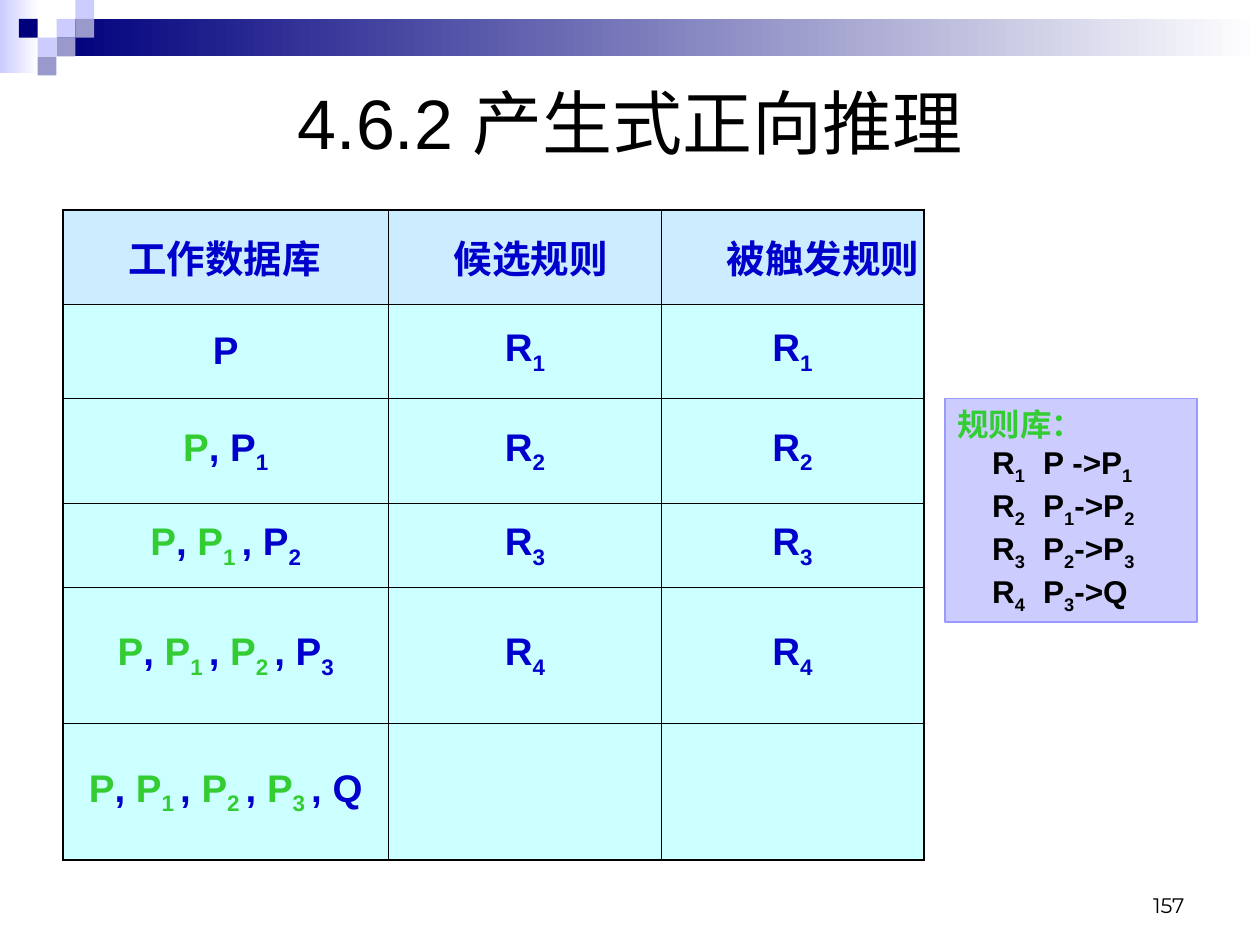
import pptx
import pptx.dml.color
import pptx.enum.shapes
import pptx.enum.text
import pptx.oxml
import pptx.oxml.ns
import pptx.util

Cm = pptx.util.Cm
Pt = pptx.util.Pt
ALIGN = pptx.enum.text.PP_ALIGN
ANCHOR = pptx.enum.text.MSO_ANCHOR

COLORS = {
    "black": "000000", "white": "FFFFFF", "navy": "00007D",
    "lavender": "CCCCFF", "slate": "9999CC", "violet": "9999FF",
    "header": "CCECFF", "body": "CCFFFF", "blue": "0000CC", "green": "33CC33",
}
UNIT = 0.38
SQUARES = [
    (3, 1, "lavender"), (4, 0, "lavender"), (4, 1, "slate"),
    (2, 2, "lavender"), (1, 1, "navy"), (3, 2, "slate"), (2, 3, "slate"),
]
HEADERS = ["工作数据库", "候选规则", "被触发规则"]
FACTS = ["P", "P_1", "P_2", "P_3", "Q"]
COL_WIDTHS = [6.56, 5.5, 5.29]
ROW_HEIGHTS = [1.9, 1.9, 2.12, 1.69, 2.75, 2.75]
RULES = ["R_1_\tP ->P_1", "R_2_\tP_1_->P_2", "R_3_\tP_2_->P_3", "R_4_\tP_3_->Q"]


def rgb(name):
    return pptx.dml.color.RGBColor.from_string(COLORS[name])


def add_text(p, text, size, color, bold=False, font="Arial"):
    for i, part in enumerate(text.split("_")):
        if not part:
            continue
        r = p.add_run()
        r.text = part
        r.font.name = font
        r.font.size = Pt(size)
        r.font.bold = bold
        r.font.color.rgb = rgb(color)
        if i % 2:
            r._r.get_or_add_rPr().set("baseline", "-25000")


def set_indent(p, left, first=0):
    pPr = p._p.get_or_add_pPr()
    pPr.set("marL", str(Cm(left)))
    pPr.set("indent", str(Cm(first)))


def add_rect(s, x, y, w, h, fill, fade_to=None, line=None):
    sp = s.shapes.add_shape(pptx.enum.shapes.MSO_SHAPE.RECTANGLE,
                            Cm(x), Cm(y), Cm(w), Cm(h))
    sp.shadow.inherit = False
    if fade_to:
        sp.fill.gradient()
        sp.fill.gradient_angle = 0
        for stop, color in zip(sp.fill.gradient_stops, (fill, fade_to)):
            stop.color.rgb = rgb(color)
    else:
        sp.fill.solid()
        sp.fill.fore_color.rgb = rgb(fill)
    if line:
        sp.line.color.rgb = rgb(line)
        sp.line.width = Pt(0.75)
    else:
        sp.line.fill.background()
    return sp


def add_label(s, x, y, w, h, text, size, align, anchor, font="Arial"):
    tf = s.shapes.add_textbox(Cm(x), Cm(y), Cm(w), Cm(h)).text_frame
    tf.word_wrap = True
    tf.vertical_anchor = anchor
    p = tf.paragraphs[0]
    p.alignment = align
    add_text(p, text, size, "black", font=font)


def add_banner(s):
    add_rect(s, 0, 0, 0.79, 1.47, "lavender", "white")
    add_rect(s, 1.14, UNIT, 24.26, 0.76, "navy", "white")
    for col, row, color in SQUARES:
        add_rect(s, col * UNIT, row * UNIT, UNIT, UNIT, color)


def set_borders(cell, outer):
    tcPr = cell._tc.get_or_add_tcPr()
    for i, side in enumerate("LRTB"):
        width = Pt(1.08) if side in outer else Pt(0.45)
        tcPr.insert(i, pptx.oxml.parse_xml(
            f'<a:ln{side} {pptx.oxml.ns.nsdecls("a")} w="{width}"><a:solidFill>'
            f'<a:srgbClr val="{COLORS["black"]}"/></a:solidFill></a:ln{side}>'))


def fill_cell(p, row, col):
    if row == 0:
        set_indent(p, 1.27)
        add_text(p, HEADERS[col], 22, "blue", True)
        return
    p.alignment = ALIGN.CENTER
    if col == 0:
        for fact in FACTS[:row - 1]:
            add_text(p, fact + " " if "_" in fact else fact, 22, "green", True)
            add_text(p, ", ", 22, "blue", True)
        add_text(p, FACTS[row - 1], 22, "blue", True)
    elif row < len(FACTS):
        add_text(p, f"R_{row}", 22, "blue", True)


def add_inference_table(s):
    table = s.shapes.add_table(len(ROW_HEIGHTS), len(COL_WIDTHS), Cm(1.27), Cm(4.23),
                               Cm(sum(COL_WIDTHS)), Cm(sum(ROW_HEIGHTS))).table
    table.horz_banding = False
    for column, width in zip(table.columns, COL_WIDTHS):
        column.width = Cm(width)
    for i, height in enumerate(ROW_HEIGHTS):
        table.rows[i].height = Cm(height)
        for j in range(len(COL_WIDTHS)):
            cell = table.cell(i, j)
            cell.fill.solid()
            cell.fill.fore_color.rgb = rgb("body" if i else "header")
            cell.vertical_anchor = ANCHOR.MIDDLE
            cell.margin_left = cell.margin_right = Cm(0.05)
            edges = {"L": j == 0, "R": j == len(COL_WIDTHS) - 1,
                     "T": i == 0, "B": i == len(ROW_HEIGHTS) - 1}
            set_borders(cell, [side for side, on in edges.items() if on])
            fill_cell(cell.text_frame.paragraphs[0], i, j)


def add_rule_box(s):
    sp = add_rect(s, 19.05, 8.04, 5.08, 4.5, "lavender", line="violet")
    tf = sp.text_frame
    tf.word_wrap = True
    tf.vertical_anchor = ANCHOR.TOP
    p = tf.paragraphs[0]
    p.alignment = ALIGN.LEFT
    add_text(p, "规则库：", 18, "green", True)
    for rule in RULES:
        p = tf.add_paragraph()
        p.alignment = ALIGN.LEFT
        set_indent(p, 1.73, -1.03)
        add_text(p, rule, 18, "black", True)


def main():
    prs = pptx.Presentation()
    prs.slide_width = Cm(25.4)
    prs.slide_height = Cm(19.05)
    s = prs.slides.add_slide(prs.slide_layouts[6])
    add_banner(s)
    add_label(s, 1.27, 1.27, 22.86, 2.34, "4.6.2 产生式正向推理", 40,
              ALIGN.CENTER, ANCHOR.MIDDLE)
    add_inference_table(s)
    add_rule_box(s)
    add_label(s, 18.2, 17.36, 5.93, 1.27, "157", 12,
              ALIGN.RIGHT, ANCHOR.BOTTOM, "Montserrat")
    prs.save("out.pptx")


if __name__ == "__main__":
    main()
